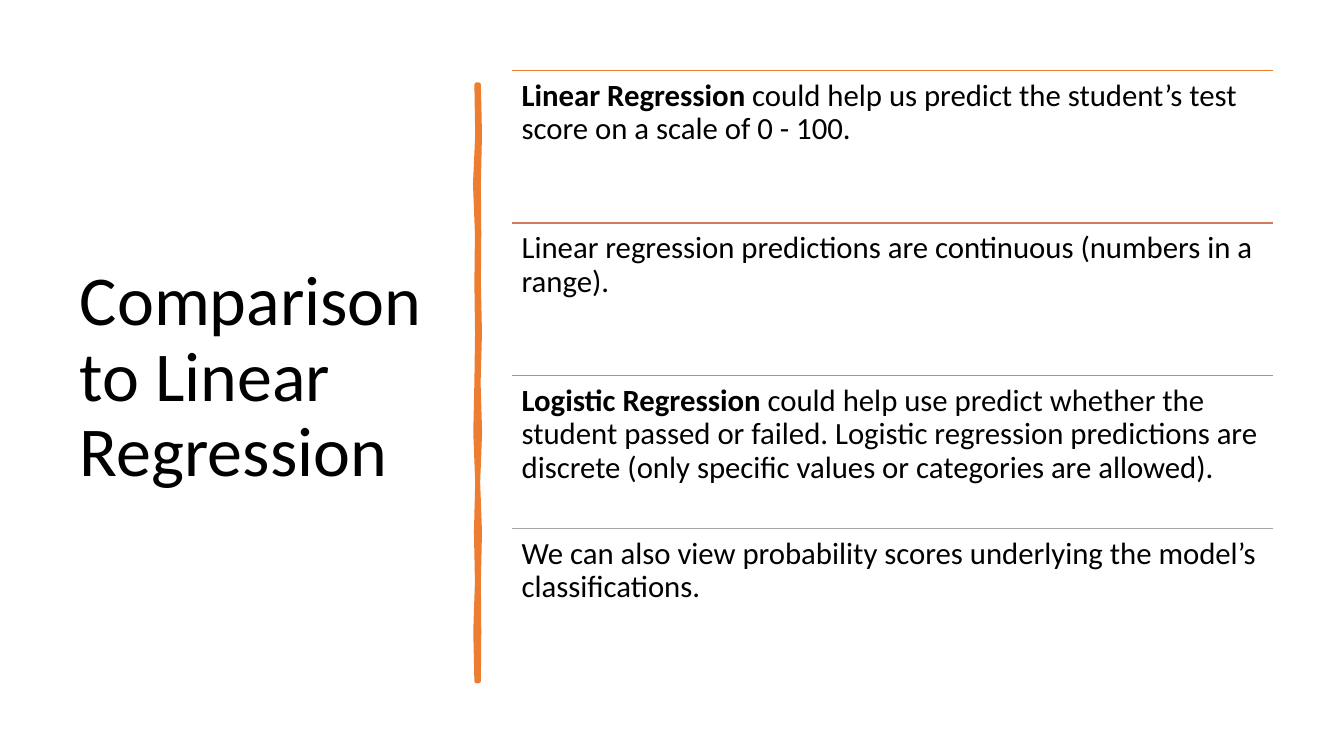
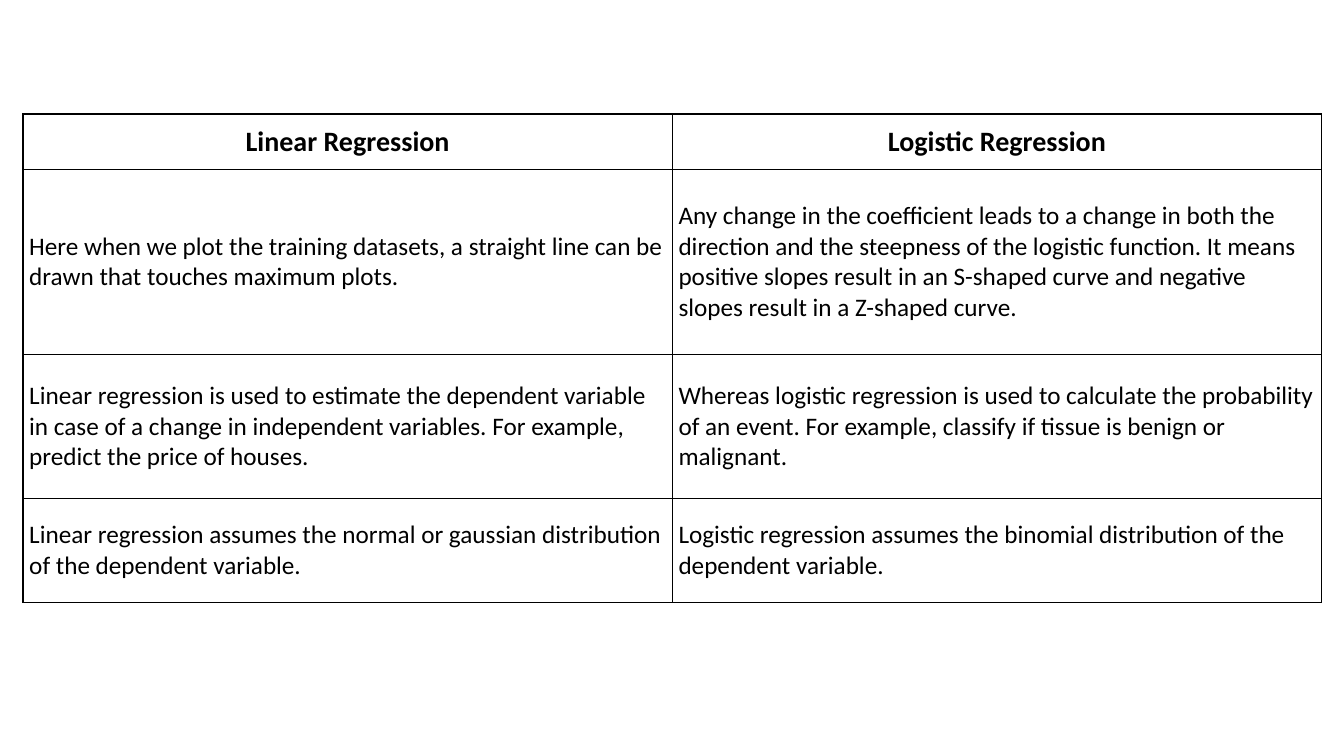
from lxml.etree import SubElement
from pptx import Presentation
from pptx.dml.color import RGBColor
from pptx.enum.shapes import MSO_CONNECTOR
from pptx.enum.text import MSO_ANCHOR, PP_ALIGN
from pptx.oxml.ns import qn
from pptx.util import Pt

FONT = "Calibri"
BLACK = RGBColor(0x00, 0x00, 0x00)
WHITE = RGBColor(0xFF, 0xFF, 0xFF)
ORANGE = RGBColor(0xED, 0x7D, 0x31)
RUST = RGBColor(0xD1, 0x7B, 0x5C)
ROSE = RGBColor(0xB9, 0x8A, 0x82)
GREY = RGBColor(0xA5, 0xA5, 0xA5)

POINTS = [
    (ORANGE, "Linear Regression",
     " could help us predict the student’s test score on a scale of 0 - 100."),
    (RUST, "", "Linear regression predictions are continuous (numbers in a range)."),
    (ROSE, "Logistic Regression",
     " could help use predict whether the student passed or failed. Logistic regression "
     "predictions are discrete (only specific values or categories are allowed)."),
    (GREY, "", "We can also view probability scores underlying the model’s classifications."),
]
HEADINGS = [("Linear Regression", "Logistic Regression")]
COMPARISON = [
    ("Here when we plot the training datasets, a straight line can be drawn that touches "
     "maximum plots.",
     "Any change in the coefficient leads to a change in both the direction and the steepness "
     "of the logistic function. It means positive slopes result in an S-shaped curve and "
     "negative slopes result in a Z-shaped curve."),
    ("Linear regression is used to estimate the dependent variable in case of a change in "
     "independent variables. For example, predict the price of houses.",
     "Whereas logistic regression is used to calculate the probability of an event. For "
     "example, classify if tissue is benign or malignant."),
    ("Linear regression assumes the normal or gaussian distribution of the dependent variable.",
     "Logistic regression assumes the binomial distribution of the dependent variable."),
]


def add_run(p, text, size, bold=False):
    """Append a run in the deck's font."""
    r = p.add_run()
    r.text = text
    r.font.name, r.font.size, r.font.bold = FONT, Pt(size), bold
    r.font.color.rgb = BLACK


def add_text(s, left, top, width, height, runs, size, anchor, inset):
    """Place a wrapped paragraph of (text, bold) runs in a box."""
    tf = s.shapes.add_textbox(Pt(left), Pt(top), Pt(width), Pt(height)).text_frame
    tf.word_wrap = True
    tf.vertical_anchor = anchor
    tf.margin_left = tf.margin_right = Pt(inset)
    tf.margin_top = tf.margin_bottom = Pt(inset)
    p = tf.paragraphs[0]
    p.line_spacing = 0.9
    for text, bold in runs:
        if text:
            add_run(p, text, size, bold)


def add_rule(s, left, top, width, color):
    """Draw a thin horizontal rule."""
    rule = s.shapes.add_connector(
        MSO_CONNECTOR.STRAIGHT, Pt(left), Pt(top), Pt(left + width), Pt(top))
    rule.line.color.rgb = color
    rule.line.width = Pt(1)
    SubElement(rule._element.spPr, qn("a:effectLst"))


def add_brush_bar(s, left, top, width, height):
    """Draw a slightly wavy upright brush stroke."""
    right_sway = [0, 0.8, 0, 0.3, 0, 0.8, -0.2, 0.9, -0.5, 0.8, 0, 0.3, 0]
    left_sway = [0, 0.6, -1, 0.4, 0, 0.5, 0, -0.8, 0.6, -0.3, 0.4, -0.8, 0]
    step = height / (len(right_sway) - 1)
    edge = [(left + width + dx, top + i * step) for i, dx in enumerate(right_sway)]
    edge += [(left + dx, top + i * step) for i, dx in enumerate(left_sway)][::-1]
    vertices = [(Pt(x), Pt(y)) for x, y in edge]
    builder = s.shapes.build_freeform(*vertices[0])
    builder.add_line_segments(vertices[1:], close=True)
    bar = builder.convert_to_shape()
    bar.shadow.inherit = False
    bar.fill.solid()
    bar.fill.fore_color.rgb = ORANGE
    bar.line.color.rgb = ORANGE
    bar.line.width = Pt(3.25)
    SubElement(bar.line._get_or_add_ln(), qn("a:round"))


def add_ruled_list(s, left, top, width, height, points):
    """Stack points in equal rows, each under its own rule."""
    step = height / len(points)
    for i, (color, lead, text) in enumerate(points):
        y = top + i * step
        add_rule(s, left, y, width, color)
        add_text(s, left, y, width, step, [(lead, True), (text, False)],
                 22, MSO_ANCHOR.TOP, 6.6)


def add_borders(cell):
    """Give a cell a black border on all four sides."""
    for side in ("a:lnL", "a:lnR", "a:lnT", "a:lnB"):
        ln = SubElement(cell._tc.get_or_add_tcPr(), qn(side), w=str(Pt(1)))
        fill = SubElement(ln, qn("a:solidFill"))
        SubElement(fill, qn("a:srgbClr"), val=str(BLACK))


def add_grid(s, left, top, width, heights, rows, size, inset, heading=False):
    """Place a bordered table with equal columns."""
    table = s.shapes.add_table(len(rows), len(rows[0]), Pt(left), Pt(top),
                               Pt(width), Pt(sum(heights))).table
    table.first_row = table.horz_banding = False
    for row, height in zip(table.rows, heights):
        row.height = Pt(height)
    for i, texts in enumerate(rows):
        for j, text in enumerate(texts):
            cell = table.cell(i, j)
            add_borders(cell)
            cell.fill.solid()
            cell.fill.fore_color.rgb = WHITE
            cell.vertical_anchor = MSO_ANCHOR.MIDDLE
            cell.margin_left = cell.margin_right = Pt(4.5)
            cell.margin_top = cell.margin_bottom = Pt(inset)
            p = cell.text_frame.paragraphs[0]
            p.alignment = PP_ALIGN.CENTER if heading else PP_ALIGN.LEFT
            add_run(p, text, size, heading)


def build_points_slide(s):
    """Build the title, brush bar and ruled list."""
    add_text(s, 50, 50.4, 269, 440, [("Comparison to Linear Regression", False)],
             50, MSO_ANCHOR.MIDDLE, 7.2)
    add_brush_bar(s, 340.5, 60.5, 1.4, 426)
    add_ruled_list(s, 366, 50.4, 543.5, 436, POINTS)


def build_table_slide(s):
    """Build the heading row and the comparison below it."""
    left, top, width, head = 16.4, 81.4, 927.6, 39.5
    add_grid(s, left, top + head, width, [132.2, 103.2, 74.2], COMPARISON, 18, 6.8)
    add_grid(s, left, top, width, [head], HEADINGS, 20, 4.5, heading=True)


def main():
    """Build and save the deck."""
    prs = Presentation()
    prs.slide_width, prs.slide_height = Pt(960), Pt(540)
    for build in (build_points_slide, build_table_slide):
        build(prs.slides.add_slide(prs.slide_layouts[6]))
    prs.save("out.pptx")


if __name__ == "__main__":
    main()
